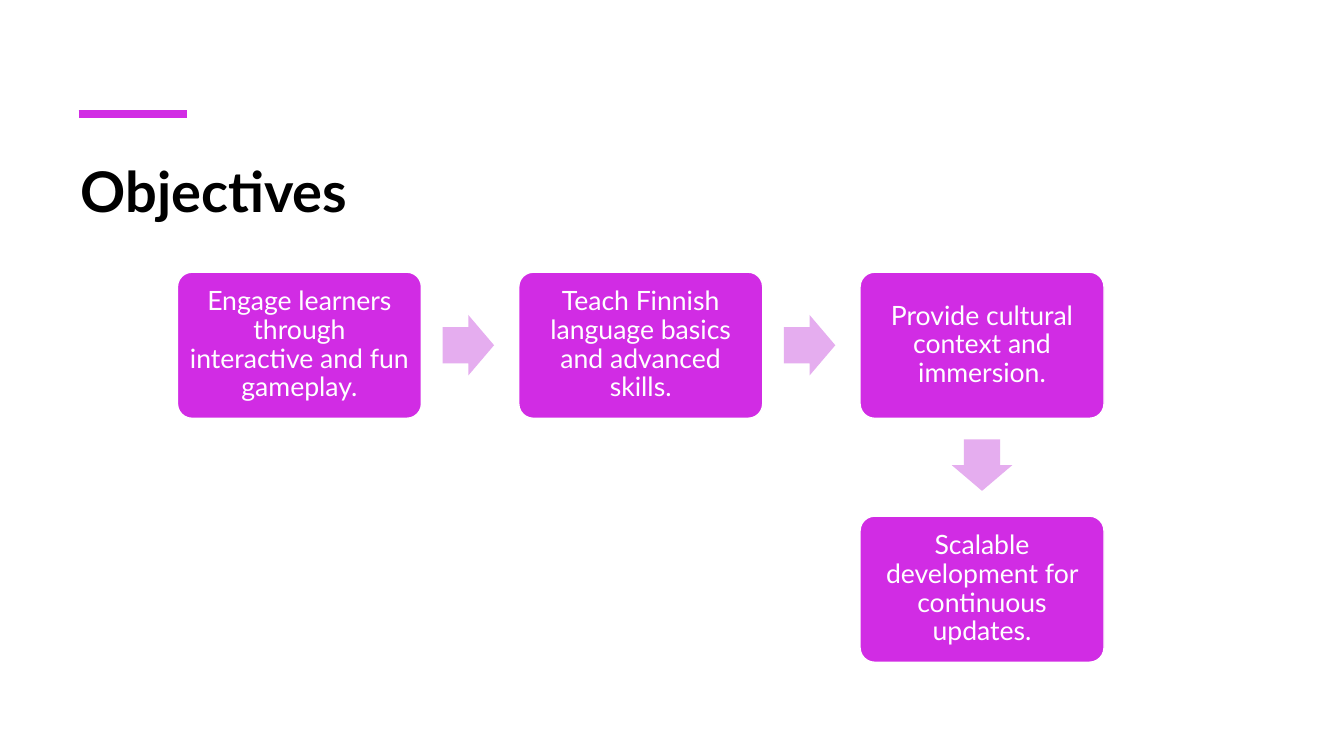
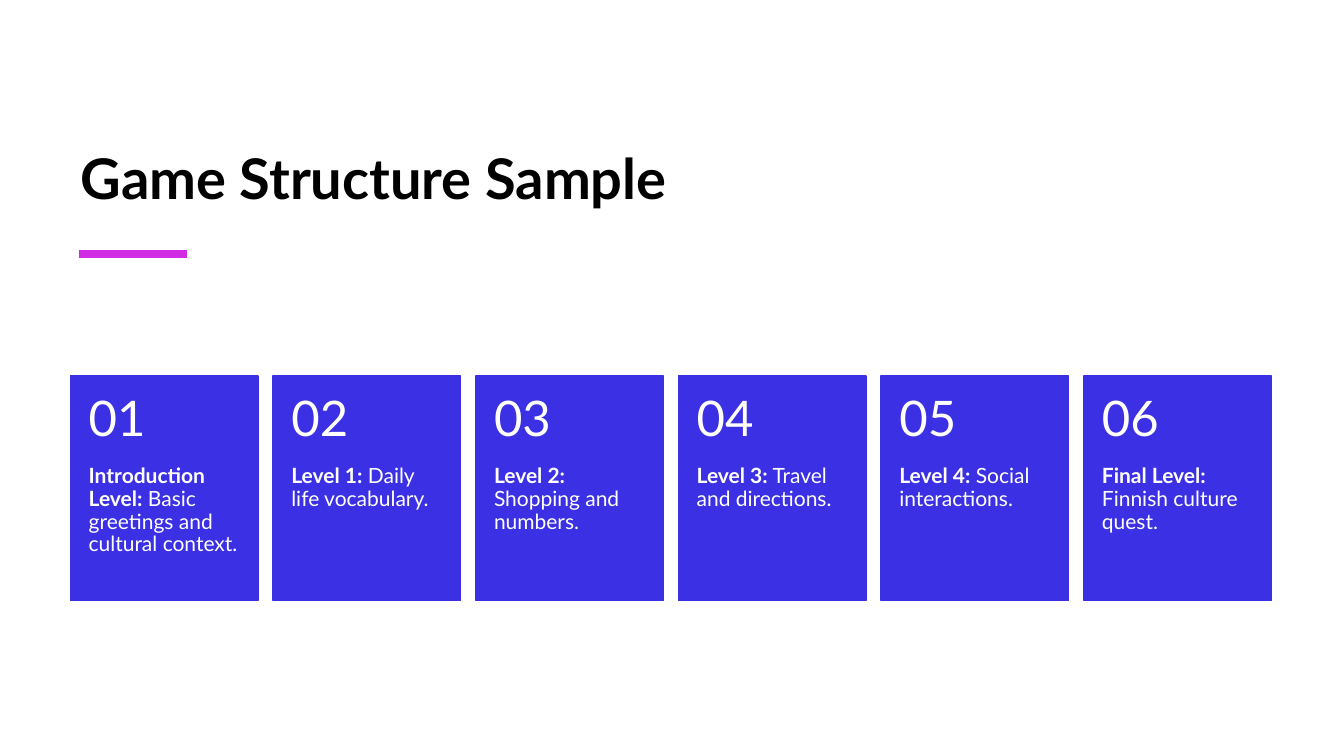
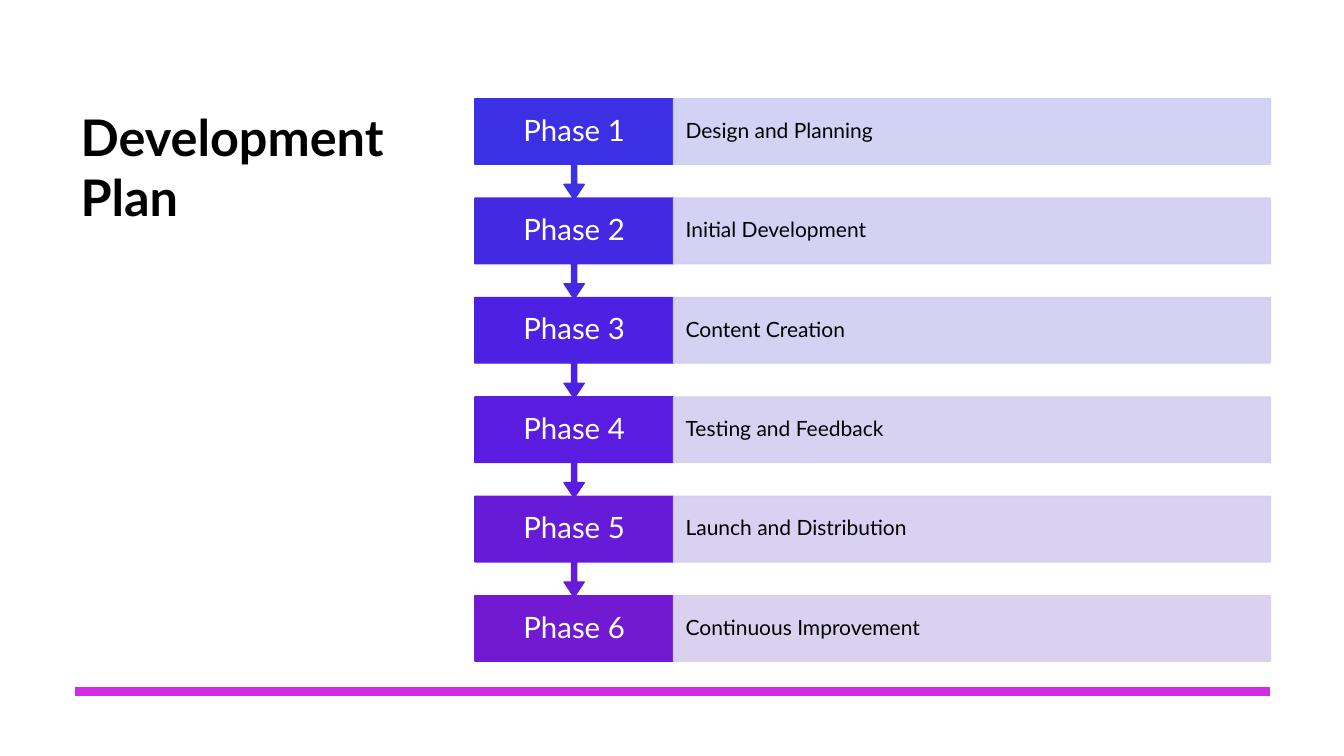
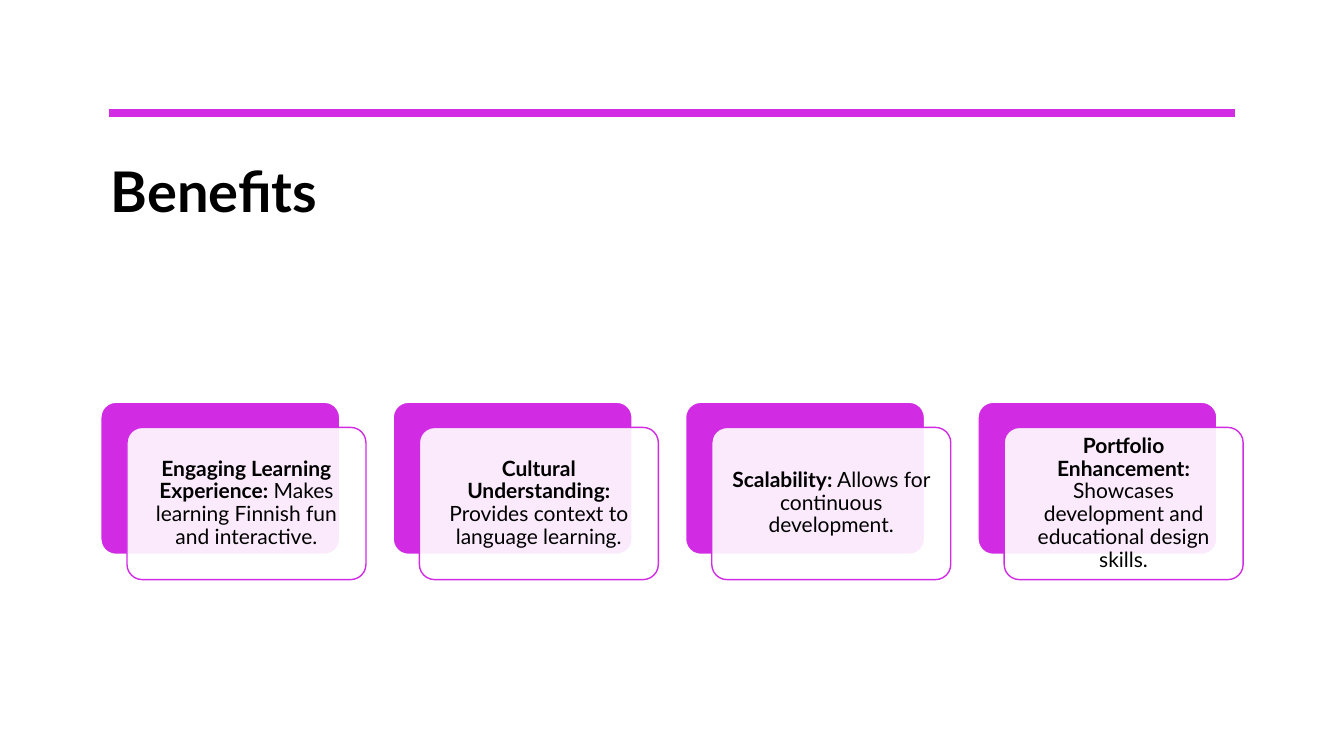
import pptx
import pptx.util
import pptx.dml.color
import pptx.enum.shapes
import pptx.enum.text
import pptx.oxml
import pptx.oxml.ns

Inches = pptx.util.Inches
SHAPE = pptx.enum.shapes.MSO_SHAPE
ANCHOR = pptx.enum.text.MSO_ANCHOR
ALIGN = pptx.enum.text.PP_ALIGN

FONT = "Lato"
COLORS = {
    "white": "FFFFFF", "black": "000000", "accent": "D12CE4",
    "arrow": "E5ADEF", "card": "3B30E4",
    "phase1": "3B30E4", "phase2": "4429E3", "phase3": "4D21E3",
    "phase4": "591CE0", "phase5": "661BD9", "phase6": "721AD2",
    "bar1": "CECEF5", "bar2": "D0CDF3", "bar3": "D1CDF2",
    "bar4": "D3CDF1", "bar5": "D4CDF0", "bar6": "D5CDEE",
}

OBJECTIVES = [
    ("Engage learners through interactive and fun gameplay.", 0, 0),
    ("Teach Finnish language basics and advanced skills.", 1, 0),
    ("Provide cultural context and immersion.", 2, 0),
    ("Scalable development for continuous updates.", 2, 1),
]
LEVELS = [
    ("Introduction Level:", " Basic greetings and cultural context."),
    ("Level 1:", " Daily life vocabulary."),
    ("Level 2:", " Shopping and numbers."),
    ("Level 3:", " Travel and directions."),
    ("Level 4:", " Social interactions."),
    ("Final Level:", " Finnish culture quest."),
]
PHASES = [
    "Design and Planning", "Initial Development", "Content Creation",
    "Testing and Feedback", "Launch and Distribution", "Continuous Improvement",
]
BENEFITS = [
    ("Engaging Learning Experience:", " Makes learning Finnish fun and interactive."),
    ("Cultural Understanding:", " Provides context to language learning."),
    ("Scalability:", " Allows for continuous development."),
    ("Portfolio Enhancement:", " Showcases development and educational design skills."),
]


def rgb(name):
    return pptx.dml.color.RGBColor.from_string(COLORS[name])


def set_alpha(fill, percent):
    color = fill._xPr.find(".//" + pptx.oxml.ns.qn("a:srgbClr"))
    alpha = pptx.oxml.parse_xml(
        f'<a:alpha {pptx.oxml.ns.nsdecls("a")} val="{percent * 1000}"/>')
    color.append(alpha)


def add_box(page, kind, box, fill, line=None, adjust=(), fill_alpha=100, line_alpha=100):
    shape = page.shapes.add_shape(kind, *map(Inches, box))
    shape.shadow.inherit = False
    shape.fill.solid()
    shape.fill.fore_color.rgb = rgb(fill)
    if fill_alpha < 100:
        set_alpha(shape.fill, fill_alpha)
    if line:
        shape.line.color.rgb = rgb(line)
        shape.line.width = pptx.util.Pt(1)
        if line_alpha < 100:
            set_alpha(shape.line.fill, line_alpha)
    else:
        shape.line.fill.background()
    for index, value in enumerate(adjust):
        shape.adjustments[index] = value
    return shape


def write(shape, spans, size, color, align=ALIGN.LEFT, anchor=ANCHOR.MIDDLE,
          insets=(0.1, 0.05, 0.1, 0.05), spacing=0.9):
    frame = shape.text_frame
    frame.word_wrap = True
    frame.vertical_anchor = anchor
    (frame.margin_left, frame.margin_top,
     frame.margin_right, frame.margin_bottom) = map(Inches, insets)
    para = frame.paragraphs[0]
    para.alignment = align
    para.line_spacing = spacing
    for text, bold in spans:
        span = para.add_run()
        span.text = text
        span.font.name = FONT
        span.font.size = pptx.util.Pt(size)
        span.font.bold = bold
        span.font.color.rgb = rgb(color)


def add_title(page, text, box, size=40, anchor=ANCHOR.TOP):
    title = page.shapes.add_textbox(*map(Inches, box))
    write(title, [(text, True)], size, "black", anchor=anchor, spacing=1.0)


def add_rule(page, left, right, top):
    rule = page.shapes.add_connector(
        pptx.enum.shapes.MSO_CONNECTOR.STRAIGHT,
        Inches(left), Inches(top), Inches(right), Inches(top))
    rule.line.color.rgb = rgb("accent")
    rule.line.width = pptx.util.Pt(6)
    rule._element.spPr.append(
        pptx.oxml.parse_xml(f'<a:effectLst {pptx.oxml.ns.nsdecls("a")}/>'))


def add_objective_flow(page, box):
    left, top, width, height = box
    box_width, box_height = 2.42, 1.45
    arrow_length, arrow_breadth, arrow_gap = 0.51, 0.6, 0.21
    column_step = (width - box_width) / 2
    row_step = height - box_height
    for index, (text, column, row) in enumerate(OBJECTIVES):
        x, y = left + column * column_step, top + row * row_step
        step = add_box(page, SHAPE.ROUNDED_RECTANGLE, (x, y, box_width, box_height),
                       "accent", "white", [0.1])
        write(step, [(text, False)], 19, "white", ALIGN.CENTER,
              insets=(0.07, 0.08, 0.07, 0.08))
        if index == len(OBJECTIVES) - 1:
            continue
        if OBJECTIVES[index + 1][2] == row:
            kind = SHAPE.RIGHT_ARROW
            place = (x + box_width + arrow_gap, y + (box_height - arrow_breadth) / 2,
                     arrow_length, arrow_breadth)
        else:
            kind = SHAPE.DOWN_ARROW
            place = (x + (box_width - arrow_breadth) / 2, y + box_height + arrow_gap,
                     arrow_breadth, arrow_length)
        add_box(page, kind, place, "arrow", adjust=[0.6, 0.5])


def add_level_cards(page, box):
    left, top, width, height = box
    card_width, number_height, inset = 1.86, 0.89, 0.18
    step = (width - card_width) / (len(LEVELS) - 1)
    for index, (name, topic) in enumerate(LEVELS):
        x = left + index * step
        card = add_box(page, SHAPE.RECTANGLE, (x, top, card_width, height), "card", "card")
        write(card, [(name, True), (topic, False)], 15, "white", anchor=ANCHOR.TOP,
              insets=(inset, number_height, inset, 0.36))
        number = page.shapes.add_textbox(
            *map(Inches, (x, top, card_width, number_height)))
        write(number, [(f"{index + 1:02d}", False)], 35, "white", insets=(inset,) * 4)


def add_phase_stack(page, box):
    left, top, width, height = box
    label_width, row_height, callout_height = 1.97, 0.65, 1
    step = (height - row_height) / (len(PHASES) - 1)
    for number in range(len(PHASES), 0, -1):
        y = top + (number - 1) * step
        color = f"phase{number}"
        if number == len(PHASES):
            label = add_box(page, SHAPE.RECTANGLE, (left, y, label_width, row_height),
                            color, color)
        else:
            label = add_box(page, SHAPE.DOWN_ARROW_CALLOUT,
                            (left, y, label_width, callout_height),
                            color, color, [0.05, 0.1, 0.15, 0.65])
        write(label, [(f"Phase {number}", False)], 21, "white", ALIGN.CENTER,
              insets=(0.14, 0.16, 0.14, 0.16))
        bar = add_box(page, SHAPE.RECTANGLE,
                      (left + label_width, y, width - label_width, row_height),
                      f"bar{number}", f"bar{number}", fill_alpha=90, line_alpha=90)
        write(bar, [(PHASES[number - 1], False)], 15, "black",
              insets=(0.12, 0.21, 0.12, 0.21))


def add_benefit_cards(page, box):
    left, top, width, height = box
    card_width, card_height = 2.37, 1.51
    shift_x, shift_y = 0.26, height - card_height
    step = (width - card_width - shift_x) / (len(BENEFITS) - 1)
    for index, (name, detail) in enumerate(BENEFITS):
        x = left + index * step
        add_box(page, SHAPE.ROUNDED_RECTANGLE, (x, top, card_width, card_height),
                "accent", "white", [0.1])
        card = add_box(page, SHAPE.ROUNDED_RECTANGLE,
                       (x + shift_x, top + shift_y, card_width, card_height),
                       "white", "accent", [0.1], fill_alpha=90)
        write(card, [(name, True), (detail, False)], 15, "black", ALIGN.CENTER,
              insets=(0.06,) * 4)


def objectives_slide(page):
    add_rule(page, 0.78, 1.85, 1.13)
    add_title(page, "Objectives", (0.7, 1.5, 11.91, 1.2))
    add_objective_flow(page, (1.76, 2.7, 9.19, 3.87))


def structure_slide(page):
    add_title(page, "Game Structure Sample", (0.7, 0.62, 11.91, 1.52),
              anchor=ANCHOR.BOTTOM)
    add_rule(page, 0.78, 1.85, 2.52)
    add_level_cards(page, (0.7, 3.73, 11.91, 2.23))


def plan_slide(page):
    add_title(page, "Development Plan", (0.7, 1, 3.28, 4.55), size=36)
    add_rule(page, 0.74, 12.6, 6.86)
    add_phase_stack(page, (4.71, 0.98, 7.89, 5.58))


def benefits_slide(page):
    add_title(page, "Benefits", (1, 1.5, 11.33, 1.25))
    add_rule(page, 1.08, 12.25, 1.12)
    add_benefit_cards(page, (1, 3.99, 11.33, 1.76))


def main():
    deck = pptx.Presentation()
    deck.slide_width, deck.slide_height = Inches(13.33), Inches(7.5)
    for build in (objectives_slide, structure_slide, plan_slide, benefits_slide):
        build(deck.slides.add_slide(deck.slide_layouts[6]))
    deck.save("out.pptx")


if __name__ == "__main__":
    main()
